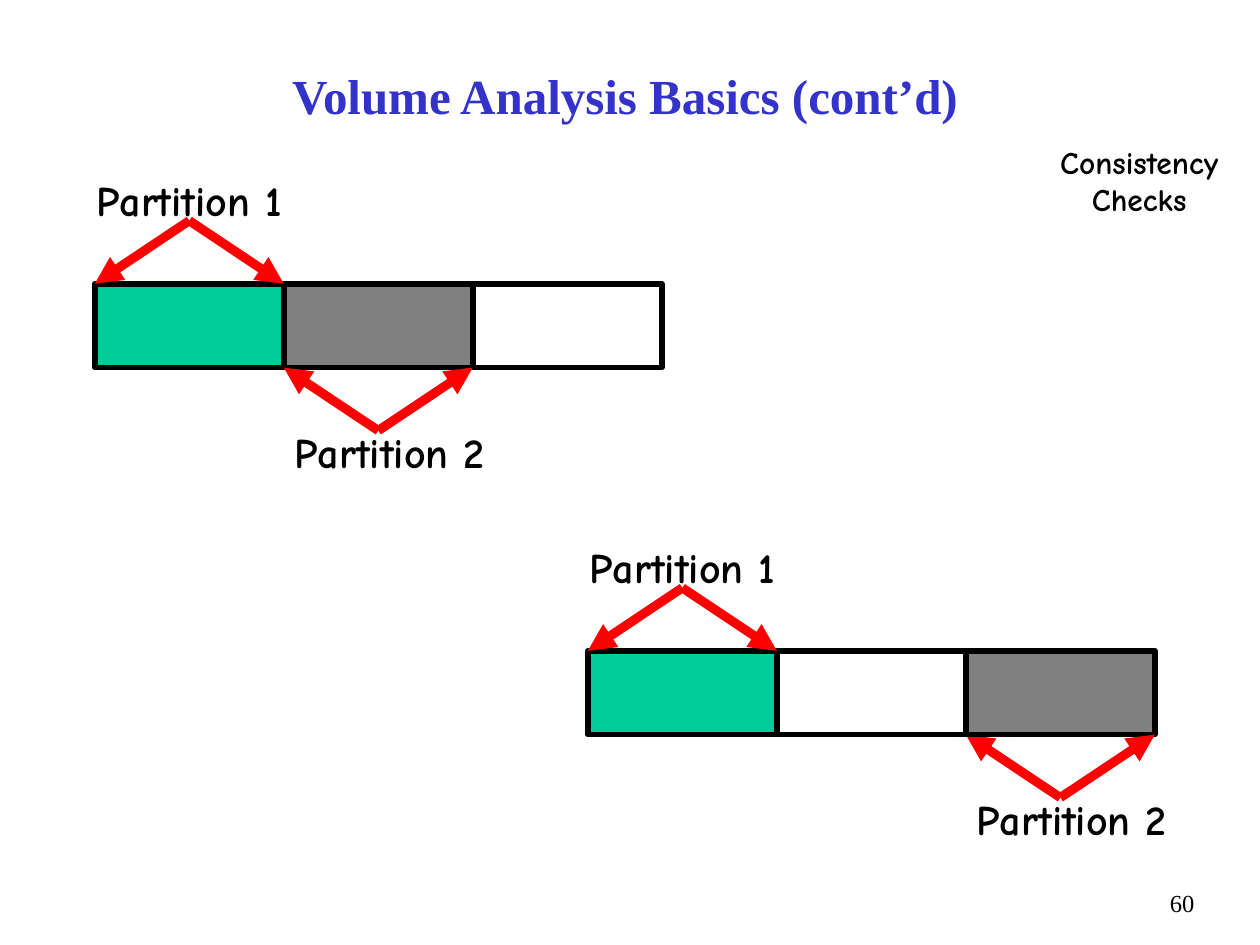
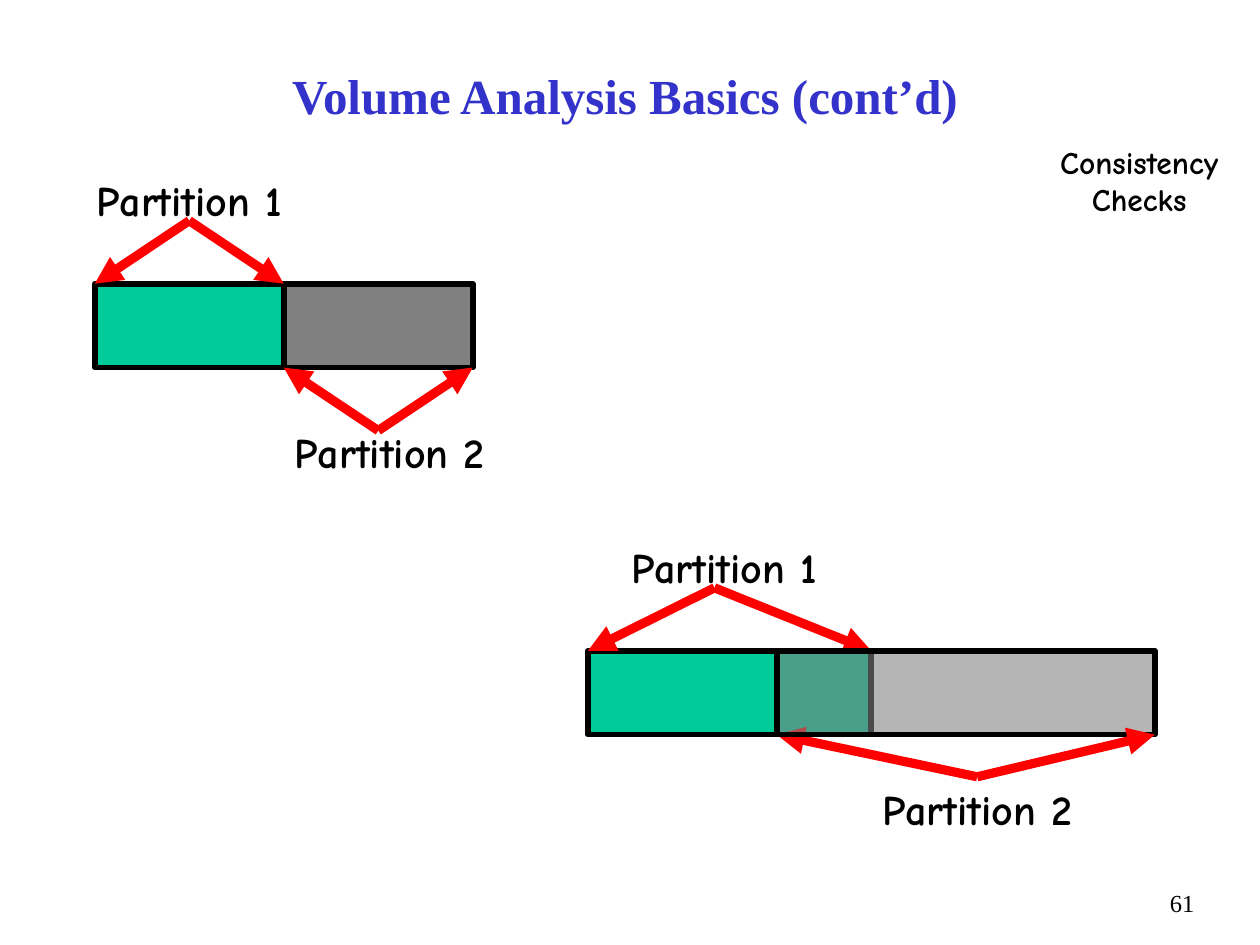
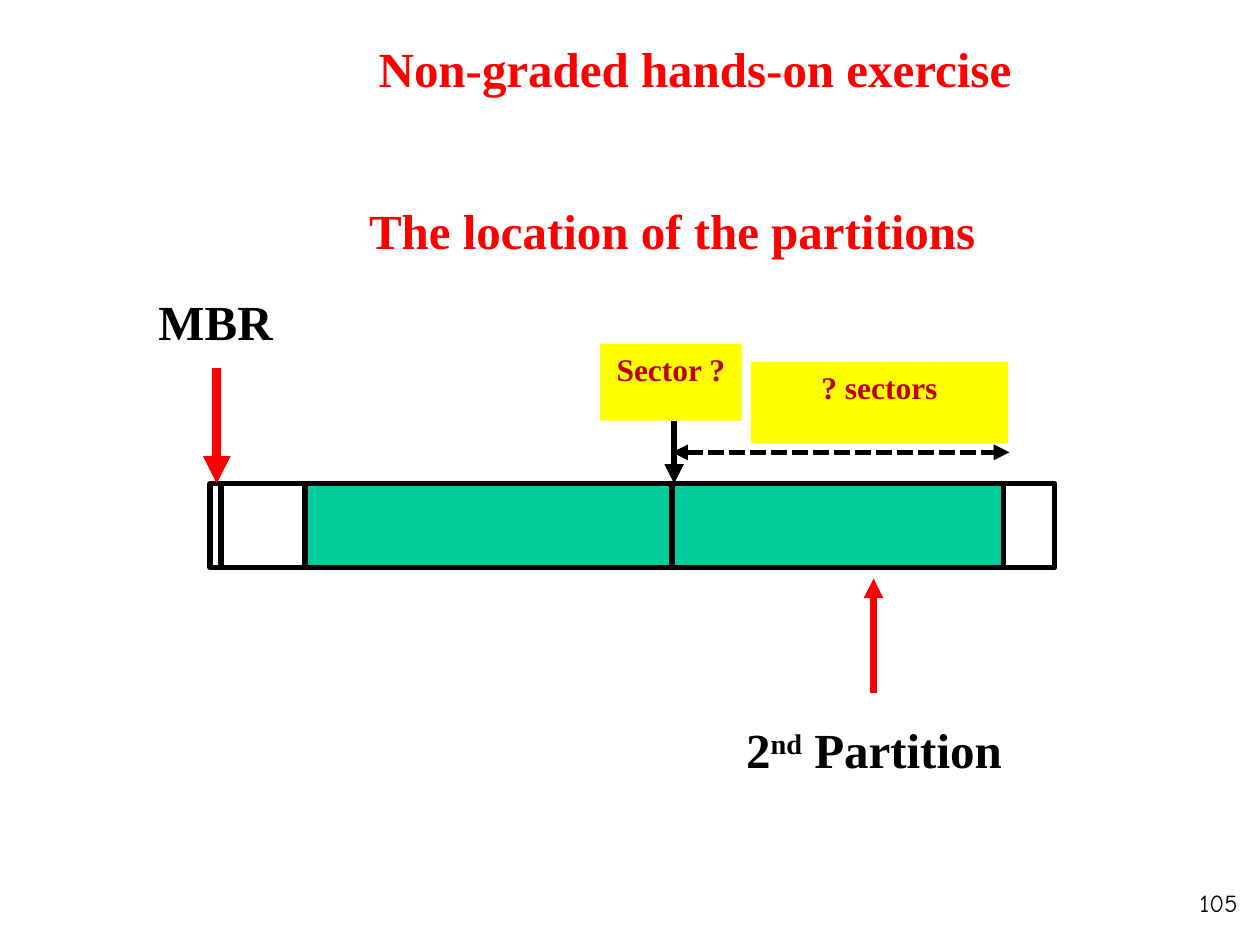
import pptx
import pptx.util
import pptx.dml.color
import pptx.enum.dml
import pptx.enum.shapes
import pptx.enum.text
import pptx.oxml.ns
from lxml import etree

Cm = pptx.util.Cm
Pt = pptx.util.Pt
RGBColor = pptx.dml.color.RGBColor
ALIGN = pptx.enum.text.PP_ALIGN
ANCHOR = pptx.enum.text.MSO_ANCHOR
qn = pptx.oxml.ns.qn

BLACK = RGBColor(0x00, 0x00, 0x00)
RED = RGBColor(0xFF, 0x00, 0x00)
DARK_RED = RGBColor(0xC0, 0x00, 0x00)
BLUE = RGBColor(0x33, 0x33, 0xCC)
GREEN = RGBColor(0x00, 0xCC, 0x99)
GRAY = RGBColor(0x80, 0x80, 0x80)
YELLOW = RGBColor(0xFF, 0xFF, 0x00)

SERIF = "Times New Roman"
COMIC = "Comic Neue"
UNIT = 3.81    # width of a one-unit partition, cm
BAR_H = 1.69   # height of a disk bar, cm
LABEL_W = 5.93


def add_box(sl, x, y, w, h, text="", fill=None, outline=False, opacity=100,
            font=SERIF, size=28, color=BLACK, bold=True,
            align=ALIGN.CENTER, anchor=ANCHOR.TOP):
    """Add a rectangle when filled or outlined, otherwise a text box."""
    at = Cm(x), Cm(y), Cm(w), Cm(h)
    if fill is None and not outline:
        sp = sl.shapes.add_textbox(*at)
    else:
        sp = sl.shapes.add_shape(pptx.enum.shapes.MSO_SHAPE.RECTANGLE, *at)
        sp.shadow.inherit = False
        if fill is None:
            sp.fill.background()
        else:
            sp.fill.solid()
            sp.fill.fore_color.rgb = fill
            if opacity < 100:
                clr = sp.fill._xPr.find(".//" + qn("a:srgbClr"))
                etree.SubElement(clr, qn("a:alpha"), val=str(opacity * 1000))
        if outline:
            sp.line.color.rgb = BLACK
            sp.line.width = Pt(3.25)
        else:
            sp.line.fill.background()
    if text:
        tf = sp.text_frame
        tf.word_wrap = True
        tf.vertical_anchor = anchor
        tf.text = text
        p = tf.paragraphs[0]
        p.alignment = align
        for r in p.runs:
            r.font.name = font
            r.font.size = Pt(size)
            r.font.bold = bold
            r.font.color.rgb = color
    return sp


def add_line(sl, x1, y1, x2, y2, color=RED, width=5.25, ends=("tailEnd",), dashed=False):
    """Add a straight line with triangle heads at the named ends."""
    cn = sl.shapes.add_connector(pptx.enum.shapes.MSO_CONNECTOR.STRAIGHT,
                                 Cm(x1), Cm(y1), Cm(x2), Cm(y2))
    cn.line.color.rgb = color
    cn.line.width = Pt(width)
    if dashed:
        cn.line.dash_style = pptx.enum.dml.MSO_LINE.SQUARE_DOT
    ln = cn.line._get_or_add_ln()
    for end in ends:
        etree.SubElement(ln, qn("a:" + end), type="triangle")
    etree.SubElement(cn._element.spPr, qn("a:effectLst"))


prs = pptx.Presentation()
prs.slide_width = Cm(25.4)
prs.slide_height = Cm(19.05)
blank = prs.slide_layouts[6]

# Parts: start and width in units, fill, opacity.
# Callouts: start, end, apex and label centre in units; arrow height and label offset in cm.
green = (0, 1, GREEN, 100)
gray = (1, 1, GRAY, 100)
first = (0, 1, 0.5, 0.5, 1.27, -2.54)
second = (1, 2, 1.5, 1.56, 1.27, 2.54)
upper, lower = (1.91, 5.72), (11.85, 13.12)

# Each disk: place, parts, parts in front of the arrows, two callouts.
consistency_slides = [
    (60, [
        (upper, [green, gray, (2, 1, None, 100)], [], [first, second]),
        (lower, [green, (1, 1, None, 100)], [(2, 1, GRAY, 100)],
         [first, (2, 3, 2.5, 2.56, 1.27, 2.54)]),
    ]),
    (61, [
        (upper, [green, gray], [], [first, second]),
        (lower, [(0, 1.5, GREEN, 100)], [(1, 2, GRAY, 58)],
         [(0, 1.5, 0.67, 0.72, 1.27, -2.54), (1, 3, 2.06, 2.06, 0.85, 2.33)]),
    ]),
]

for number, disks in consistency_slides:
    sl = prs.slides.add_slide(blank)
    add_box(sl, 22.2, 17.78, 2.13, 1.27, str(number), size=14, bold=False, align=ALIGN.RIGHT)
    add_box(sl, 0.64, 1.06, 23.92, 1.69, "Volume Analysis Basics (cont’d)",
            color=BLUE, anchor=ANCHOR.MIDDLE)
    for (left, top), back, front, callouts in disks:
        arrows = []
        for i, (start, end, apex, centre, rise, offset) in enumerate(callouts):
            edge = top + i * BAR_H
            apex_y = edge + (rise if i else -rise)
            for tip in (start, end):
                arrows.append((left + apex * UNIT, apex_y, left + tip * UNIT, edge))
            add_box(sl, left + centre * UNIT - LABEL_W / 2, top + offset, LABEL_W, BAR_H,
                    f"Partition {i + 1}", font=COMIC, size=24, anchor=ANCHOR.MIDDLE)
        for parts, group in ((back, arrows[:3]), (front, arrows[3:])):
            for start, width, fill, opacity in parts:
                add_box(sl, left + start * UNIT, top, width * UNIT, BAR_H,
                        fill=fill, outline=True, opacity=opacity)
            for arrow in group:
                add_line(sl, *arrow)
    add_box(sl, 20.53, 2.75, 4.87, 1.9, "Consistency Checks", font=COMIC, size=18)

# Exercise slide
sl = prs.slides.add_slide(blank)
add_box(sl, 23.07, 17.78, 2.13, 1.27, "105", font=COMIC, size=14, bold=False, align=ALIGN.RIGHT)
for x, y, heading in ((4.42, 0.66, "Non-graded hands-on exercise"),
                      (3.96, 3.91, "The location of the partitions")):
    add_box(sl, x, y, 19.18, 1.45, heading, color=RED)

bar_y = 9.75
for x, w, fill in ((4.24, 17.02, None), (6.15, 7.4, GREEN), (13.55, 6.68, GREEN)):
    add_box(sl, x, bar_y, w, BAR_H, fill=fill, outline=True)
add_line(sl, 4.45, bar_y + BAR_H, 4.45, bar_y, BLACK, 3.25, ends=())

add_line(sl, 4.37, 7.42, 4.37, bar_y)
add_line(sl, 13.59, 8.48, 13.59, bar_y, BLACK, 3.75)
add_line(sl, 13.55, 9.12, 20.35, 9.12, BLACK, 3, ("headEnd", "tailEnd"), dashed=True)
add_line(sl, 17.61, 13.97, 17.61, 11.66, width=3.75)

for x, y, w, h, text in ((12.1, 6.93, 2.85, 1.55, "Sector ?"),
                         (15.14, 7.29, 5.18, 1.65, "? sectors")):
    add_box(sl, x, y, w, h, text, fill=YELLOW, size=18, color=DARK_RED)

add_box(sl, 2.12, 5.69, 4.45, 1.55, "MBR", anchor=ANCHOR.MIDDLE)
sp = add_box(sl, 14.61, 14.33, 6.02, 1.55, "2", anchor=ANCHOR.MIDDLE)
p = sp.text_frame.paragraphs[0]
for text in ("nd", " Partition"):
    r = p.add_run()
    r.text = text
    r.font.name = SERIF
    r.font.size = Pt(28)
    r.font.bold = True
    r.font.color.rgb = BLACK
p.runs[1].font._element.set("baseline", "30000")

prs.save("out.pptx")
